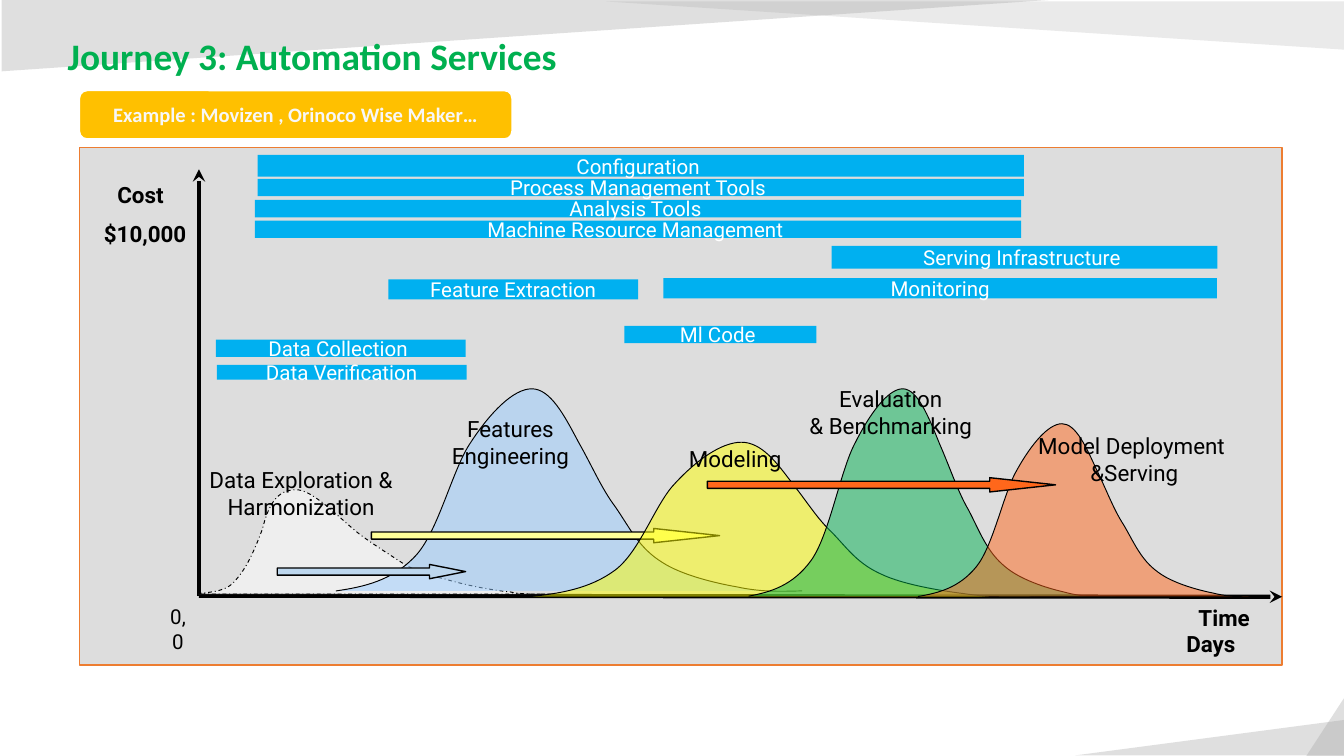
from lxml import etree
from pptx import Presentation
from pptx.dml.color import RGBColor
from pptx.enum.dml import MSO_LINE
from pptx.enum.shapes import MSO_CONNECTOR, MSO_SHAPE
from pptx.enum.text import MSO_ANCHOR, PP_ALIGN
from pptx.oxml.ns import qn
from pptx.util import Cm, Pt

RECT = MSO_SHAPE.RECTANGLE
ROUNDED = MSO_SHAPE.ROUNDED_RECTANGLE
DIAGONAL = MSO_SHAPE.ROUND_2_DIAG_RECTANGLE
TRIANGLE = MSO_SHAPE.RIGHT_TRIANGLE
ARROW = MSO_SHAPE.RIGHT_ARROW
STRAIGHT = MSO_CONNECTOR.STRAIGHT
DASH_DOT = MSO_LINE.DASH_DOT
LEFT, CENTER = PP_ALIGN.LEFT, PP_ALIGN.CENTER
MIDDLE = MSO_ANCHOR.MIDDLE

COLORS = {
    "decor": "A5A5A5", "title": "00B050", "badge": "FFC000", "badge_text": "F7F7F7",
    "panel": "DDDDDD", "panel_line": "ED7D31", "bar": "00B0F0",
    "black": "000000", "white": "FFFFFF", "explore": "FFFFFF", "features": "99CCFF",
    "modeling": "FFFF00", "evaluation": "00B050", "deployment": "FF671B",
    "pale_blue": "BDD7EE", "pale_yellow": "FFFF99",
}

# Curves as fractions of their box: a start point, then cubic segments.
BELL = [
    (0, .99), (.06, .97), (.12, .94), (.17, .82), (.22, .70), (.25, .39), (.29, .26),
    (.33, .12), (.38, 0), (.42, 0), (.46, 0), (.49, .13), (.52, .26),
    (.55, .38), (.57, .49), (.60, .58), (.63, .68), (.65, .78), (.70, .85),
    (.74, .91), (.81, .95), (.86, .97), (.92, 1), (.97, .99), (1, .99),
]
SKEWED = [
    (0, .99), (.01, .97), (.07, .99), (.10, .88), (.13, .77), (.15, .65), (.18, .38),
    (.20, .10), (.23, 0), (.28, .01), (.33, .03), (.41, .33), (.46, .45),
    (.51, .57), (.54, .63), (.58, .72), (.63, .80), (.64, .81), (.69, .85),
    (.74, .90), (.81, .95), (.87, .97), (.91, 1), (.97, .99), (1, .99),
]

# Boxes are left, top, width, height in cm from the panel's corner.
BELLS = [
    ("modeling", (8.5, 5.57, 9.55, 2.95)),
    ("evaluation", (12.65, 4.56, 6.93, 3.96)),
    ("deployment", (15.85, 5.22, 6.48, 3.3)),
]
BARS = [
    ("Configuration ", (3.37, .14, 14.48, .41)),
    ("Process Management Tools ", (3.37, .59, 14.48, .33)),
    ("Analysis Tools ", (3.32, .99, 14.48, .33)),
    ("Machine Resource Management ", (3.32, 1.38, 14.48, .33)),
    ("Serving Infrastructure ", (14.22, 1.86, 7.29, .43)),
    ("Monitoring", (11.04, 2.47, 10.46, .38)),
    ("Feature Extraction", (5.84, 2.49, 4.72, .38)),
    ("Ml Code ", (10.3, 3.37, 3.63, .33)),
    ("Data Collection ", (2.58, 3.63, 4.72, .33)),
    ("Data Verification", (2.6, 4.11, 4.72, .28)),
]
STAGE_LABELS = [
    (["Data Exploration & ", "Harmonization "], (2.3, 5.92, 3.89, 1.22)),
    (["Features", "Engineering"], (6.93, 4.96, 2.44, 1.22)),
    (["Modeling"], (11.39, 5.52, 2.01, .71)),
    (["Evaluation", "& Benchmarking"], (13.66, 4.39, 3.35, 1.22)),
    (["Model Deployment ", "&Serving"], (17.96, 5.28, 3.96, 1.22)),
]
AXIS_LABELS = [
    ("Cost", (0, .53, 2.31, .71)),
    ("$10,000", (.09, 1.27, 2.31, .71)),
    ("Time", (21.04, 8.53, 1.19, .71)),
    ("Days", (20.23, 9.03, 2.31, .71)),
]


def rgb(name):
    return RGBColor.from_string(COLORS[name])


def within(outer, box):
    return (outer[0] + box[0], outer[1] + box[1], *box[2:])


def paint(shape, fill=None, line=None, width=.75, opacity=None):
    shape.shadow.inherit = False
    if fill:
        shape.fill.solid()
        shape.fill.fore_color.rgb = rgb(fill)
        if opacity:
            color = shape.fill._xPr.find(".//" + qn("a:srgbClr"))
            etree.SubElement(color, qn("a:alpha"), val=str(opacity * 1000))
    else:
        shape.fill.background()
    if line:
        shape.line.color.rgb = rgb(line)
        shape.line.width = Pt(width)
    else:
        shape.line.fill.background()


def add_preset(slide, preset, box, **style):
    shape = slide.shapes.add_shape(preset, *map(Cm, box))
    paint(shape, **style)
    return shape


def write(shape, lines, size, font, color, bold=False, align=CENTER):
    frame = shape.text_frame
    for index, line in enumerate(lines):
        paragraph = frame.add_paragraph() if index else frame.paragraphs[0]
        paragraph.alignment = align
        run = paragraph.add_run()
        run.text = line
        run.font.size = Pt(size)
        run.font.name = font
        run.font.bold = bold
        run.font.color.rgb = rgb(color)
    return frame


def add_label(slide, box, lines, size=12, bold=False, wrap=False):
    label = slide.shapes.add_textbox(*map(Cm, box))
    frame = write(label, lines, size, "Roboto", "black", bold)
    frame.word_wrap = wrap
    frame.margin_left = frame.margin_right = Cm(.1)
    frame.margin_top = frame.margin_bottom = Cm(.1)


def add_axis(slide, start, end):
    axis = slide.shapes.add_connector(STRAIGHT, *map(Cm, start + end))
    axis.line.color.rgb = rgb("black")
    axis.line.width = Pt(2.25)
    etree.SubElement(axis.line._get_or_add_ln(), qn("a:tailEnd"), type="stealth")
    etree.SubElement(axis._element.spPr, qn("a:effectLst"))


def add_curve(slide, box, controls, color, closed=False):
    """Outline the control points, then turn every three lines into one cubic segment."""
    left, top, width, height = box
    start, *rest = [(Cm(left + x * width), Cm(top + y * height)) for x, y in controls]
    builder = slide.shapes.build_freeform(*start)
    builder.add_line_segments(rest, close=closed)
    curve = builder.convert_to_shape()
    lines = list(curve._element.iter(qn("a:lnTo")))
    for first in range(0, len(controls) - 1, 3):
        cubic = etree.Element(qn("a:cubicBezTo"))
        lines[first].addprevious(cubic)
        for line in lines[first:first + 3]:
            cubic.append(line[0])
            line.getparent().remove(line)
    paint(curve, color, "black", .5, 50)
    return curve


def add_flow(slide, box, color, head):
    """Block arrow; head is its head length over its height."""
    flow = add_preset(slide, ARROW, box, fill=color, line="black")
    flow.adjustments[0] = .5
    flow.adjustments[1] = head


def add_backdrop(slide, box):
    """Translucent triangles along the top and bottom edges."""
    triangles = [
        ((20.32, 13.61, 5.08, .67), "h", 35),
        ((24.69, 13.2, .71, 1.09), "h", 35),
        ((.03, 0, 19.81, 1.35), "v", 35),
        ((11.46, .03, 13.94, .91), "hv", 23),
    ]
    for place, flips, opacity in triangles:
        triangle = add_preset(slide, TRIANGLE, within(box, place), fill="decor", opacity=opacity)
        for flip in flips:
            triangle._element.spPr.xfrm.set("flip" + flip.upper(), "1")


def add_header(slide, box):
    title = add_preset(slide, DIAGONAL, within(box, (0, 0, 15.67, 1.24)))
    frame = write(title, ["Journey 3: Automation Services"], 20, "Calibri", "title", True, LEFT)
    frame.vertical_anchor = MIDDLE
    frame.paragraphs[0].line_spacing = .9
    badge = add_preset(slide, ROUNDED, within(box, (.52, 1.22, 8.2, .94)),
                       fill="badge", line="white", width=1.5)
    frame = write(badge, ["Example : Movizen , Orinoco Wise Maker…"], 11, "Calibri",
                  "badge_text", True)
    frame.vertical_anchor = MIDDLE


def add_cost_chart(slide, box):
    add_preset(slide, RECT, box, fill="panel", line="panel_line")
    left, top, width, _ = box
    origin = (left + 2.26, top + 8.47)
    add_axis(slide, origin, (left + width, top + 8.49))
    add_axis(slide, origin, (left + 2.26, top + .41))

    explore = add_curve(slide, within(box, (2.24, 6.45, 6.78, 2.01)), SKEWED, "explore", True)
    explore.line.dash_style = DASH_DOT
    add_curve(slide, within(box, (4.85, 4.56, 8.81, 3.86)), BELL, "features")
    add_flow(slide, within(box, (3.74, 7.88, 3.56, .27)), "pale_blue", 2.52)
    add_flow(slide, within(box, (5.52, 7.2, 6.58, .27)), "pale_yellow", 4.61)
    for stage, place in BELLS:
        add_curve(slide, within(box, place), BELL, stage)
    add_flow(slide, within(box, (11.87, 6.24, 6.58, .27)), "deployment", 4.61)

    for lines, place in STAGE_LABELS:
        add_label(slide, within(box, place), lines)
    for text, place in AXIS_LABELS:
        add_label(slide, within(box, place), [text], bold=True)
    add_label(slide, within(box, (1.51, 8.53, .71, .69)), ["0,0"], size=11, wrap=True)

    for text, place in BARS:
        bar = add_preset(slide, RECT, within(box, place), fill="bar")
        write(bar, [text], 11, "Roboto", "white").vertical_anchor = MIDDLE


def main():
    deck = Presentation()
    deck.slide_width, deck.slide_height = Cm(25.4), Cm(14.29)
    slide = deck.slides.add_slide(deck.slide_layouts[6])
    add_backdrop(slide, (0, 0, 25.4, 14.29))
    add_header(slide, (.97, .48, 15.67, 2.16))
    add_cost_chart(slide, (1.5, 2.79, 22.73, 9.78))
    deck.save("out.pptx")


if __name__ == "__main__":
    main()
